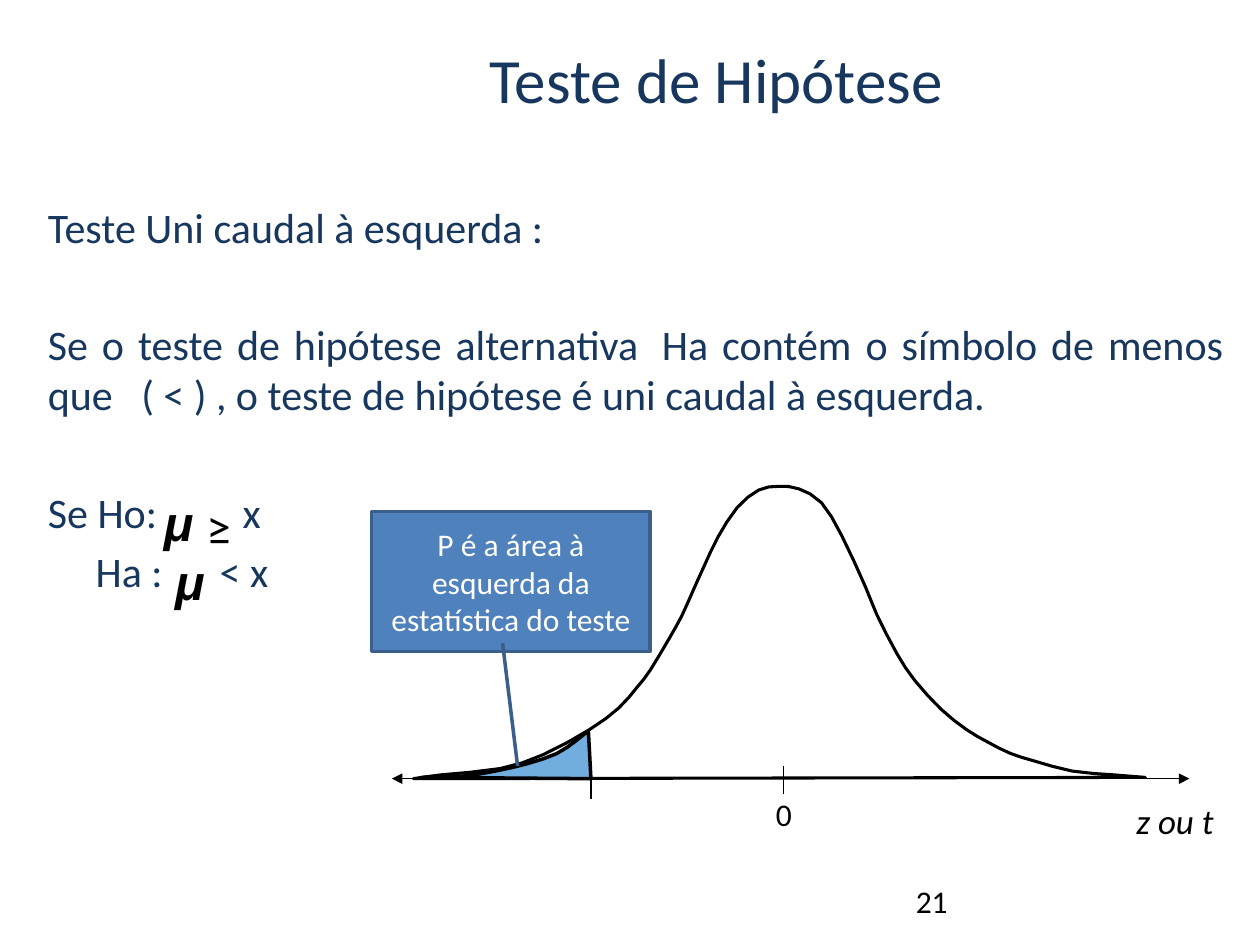
"""Build the slide on the left-tailed hypothesis test."""
import dataclasses

import lxml.etree
import pptx
import pptx.dml.color
import pptx.enum.shapes
import pptx.enum.text
import pptx.oxml.ns
import pptx.util

Inches = pptx.util.Inches
Pt = pptx.util.Pt
Align = pptx.enum.text.PP_ALIGN
Anchor = pptx.enum.text.MSO_ANCHOR
qn = pptx.oxml.ns.qn


@dataclasses.dataclass(frozen=True)
class Theme:
    font: str = "Calibri"
    symbol_font: str = "Arial"
    navy: str = "17375E"
    black: str = "000000"
    white: str = "FFFFFF"
    tail_fill: str = "71ADDF"
    callout_fill: str = "4F81BD"
    callout_line: str = "3A5F8C"
    title_size: int = 36
    body_size: int = 24
    symbol_size: int = 28
    axis_size: int = 20
    small_size: int = 18


THEME = Theme()

BELL_KNOTS = [
    (3.28, 6.18), (3.5, 6.15), (3.97, 6.1), (4.31, 5.99), (4.68, 5.79),
    (4.91, 5.62), (5.06, 5.45), (5.16, 5.32), (5.31, 5.07), (5.41, 4.89),
    (5.5, 4.69), (5.59, 4.49), (5.7, 4.26), (5.85, 4.03), (6.02, 3.89),
    (6.18, 3.86), (6.34, 3.88), (6.52, 3.99), (6.68, 4.25), (6.87, 4.66),
    (6.96, 4.88), (7.12, 5.19), (7.26, 5.4), (7.47, 5.63),
    (7.67, 5.79), (7.84, 5.89), (8.02, 5.98), (8.21, 6.04), (8.51, 6.12),
    (8.84, 6.15), (9.09, 6.17),
]
TAIL_KNOTS = [
    (3.35, 6.17), (3.67, 6.16), (3.93, 6.12), (4.19, 6.06), (4.42, 5.98),
    (4.57, 5.88), (4.67, 5.8),
]


def color(value):
    """Return an RGB colour."""
    return pptx.dml.color.RGBColor.from_string(value)


def add_run(para, text, size, ink=THEME.black, font=THEME.font, bold=False, italic=False):
    """Add one formatted run to a paragraph and return it."""
    span = para.add_run()
    span.text = text
    span.font.size = Pt(size)
    span.font.name = font
    span.font.color.rgb = color(ink)
    span.font.bold = bold
    span.font.italic = italic
    return span


def add_wide_space(para, extra):
    """Add a single space widened by some points."""
    span = add_run(para, " ", THEME.body_size, THEME.navy)
    span.font._element.set("spc", str(round(extra * 100)))


def place(shape, left, top, width, height):
    """Move and size a shape."""
    shape.left, shape.top = Inches(left), Inches(top)
    shape.width, shape.height = Inches(width), Inches(height)


def style_line(line, ink, width):
    """Set the colour and width of a line."""
    line.color.rgb = color(ink)
    line.width = Pt(width)


def add_label(page, area, text, size, inset=True, **style):
    """Add a text box with one run."""
    box = page.shapes.add_textbox(*map(Inches, area))
    frame = box.text_frame
    frame.word_wrap = True
    if not inset:
        frame.margin_left = frame.margin_right = 0
        frame.margin_top = frame.margin_bottom = 0
    add_run(frame.paragraphs[0], text, size, **style)


def add_axis_line(page, start, end, arrows=False):
    """Add a thin axis line, with arrowheads at both ends if asked."""
    line = page.shapes.add_connector(
        pptx.enum.shapes.MSO_CONNECTOR.STRAIGHT, *map(Inches, start + end))
    style_line(line.line, THEME.black, 0.75)
    if arrows:
        for tag in ("a:headEnd", "a:tailEnd"):
            lxml.etree.SubElement(line.line._ln, qn(tag), type="triangle")
    lxml.etree.SubElement(line._element.spPr, qn("a:effectLst"))


def smooth(knots):
    """Return the knots with a Catmull-Rom midpoint between each pair."""
    padded = [knots[0], *knots, knots[-1]]
    points = [knots[0]]
    for a, b, c, d in zip(padded, padded[1:], padded[2:], padded[3:]):
        points.append(tuple((9 * (q + r) - p - s) / 16 for p, q, r, s in zip(a, b, c, d)))
        points.append(c)
    return points


def add_outline(page, points, width, fill=None):
    """Add a closed freeform with a black outline."""
    corners = [tuple(map(Inches, point)) for point in points]
    builder = page.shapes.build_freeform(*corners[0])
    builder.add_line_segments(corners[1:], close=True)
    shape = builder.convert_to_shape()
    shape.shadow.inherit = False
    if fill:
        shape.fill.solid()
        shape.fill.fore_color.rgb = color(fill)
    else:
        shape.fill.background()
    style_line(shape.line, THEME.black, width)


def fill_title(page):
    """Place and fill the title."""
    title = page.shapes.title
    place(title, 0.98, 0.27, 9.41, 0.8)
    title.text_frame.vertical_anchor = Anchor.TOP
    para = title.text_frame.paragraphs[0]
    para.alignment = Align.CENTER
    add_run(para, "Teste de Hipótese", THEME.title_size, THEME.navy)


def fill_body(page):
    """Place and fill the body text, widening the spaces that hold symbols."""
    body = page.placeholders[1]
    place(body, 0.28, 1.55, 9.53, 2.99)
    frame = body.text_frame
    frame.auto_size = pptx.enum.text.MSO_AUTO_SIZE.NONE
    lines = [
        (0, 0, ["Teste Uni caudal à esquerda :"]),
        (38, 0, ["Se o teste de hipótese alternativa", 5.4,
                 "Ha contém o símbolo de menos que", 10.8,
                 "( < ) , o teste de hipótese é uni caudal à esquerda."]),
        (38.4, 0, ["Se Ho:", 43.4, "x"]),
        (4.8, 0.38, ["Ha :", 27.1, "< x"]),
    ]
    for index, (space, indent, parts) in enumerate(lines):
        para = frame.add_paragraph() if index else frame.paragraphs[0]
        para.alignment = Align.JUSTIFY
        para.space_before = Pt(space)
        properties = para._p.get_or_add_pPr()
        properties.set("marL", str(Inches(indent)))
        properties.set("indent", "0")
        lxml.etree.SubElement(properties, qn("a:buNone"))
        for part in parts:
            if isinstance(part, str):
                add_run(para, part, THEME.body_size, THEME.navy)
            else:
                add_wide_space(para, part)


def add_callout(page):
    """Add the callout that points at the shaded tail."""
    callout = page.shapes.add_shape(
        pptx.enum.shapes.MSO_SHAPE.LINE_CALLOUT_1, *map(Inches, (2.95, 4.06, 2.21, 1.11)))
    for index, value in enumerate((0.941, 0.47, 1.82, 0.524)):
        callout.adjustments[index] = value
    callout.shadow.inherit = False
    callout.fill.solid()
    callout.fill.fore_color.rgb = color(THEME.callout_fill)
    style_line(callout.line, THEME.callout_line, 2)
    frame = callout.text_frame
    frame.word_wrap = True
    frame.vertical_anchor = Anchor.MIDDLE
    para = frame.paragraphs[0]
    para.alignment = Align.CENTER
    add_run(para, "P é a área à esquerda da estatística do teste", THEME.small_size, THEME.white)


def main():
    """Build and save the deck."""
    deck = pptx.Presentation()
    deck.slide_width, deck.slide_height = Inches(10), Inches(7.5)
    page = deck.slides.add_slide(deck.slide_layouts[1])
    fill_title(page)
    fill_body(page)
    add_label(page, (7.17, 6.95, 2.33, 0.4), "21", THEME.small_size)
    for left, top in ((1.3, 3.91), (1.39, 4.38)):
        add_label(page, (left, top, 0.3, 0.47), "μ", THEME.symbol_size, inset=False,
                  font=THEME.symbol_font, bold=True, italic=True)
    add_label(page, (1.54, 3.89, 0.41, 0.57), "≥", THEME.symbol_size)
    add_axis_line(page, (3.11, 6.18), (9.44, 6.18), arrows=True)
    for x, top in ((4.69, 6.12), (6.22, 6.08)):
        add_axis_line(page, (x, top), (x, top + 0.22))
    add_label(page, (6.06, 6.26, 0.34, 0.4), "0", THEME.small_size)
    add_label(page, (8.92, 6.3, 0.97, 0.44), "z ou t", THEME.axis_size, italic=True)
    add_outline(page, smooth(BELL_KNOTS), 1.75)
    add_outline(page, [*smooth(TAIL_KNOTS), (4.69, 6.18)], 2, THEME.tail_fill)
    add_callout(page)
    deck.save("out.pptx")


main()
